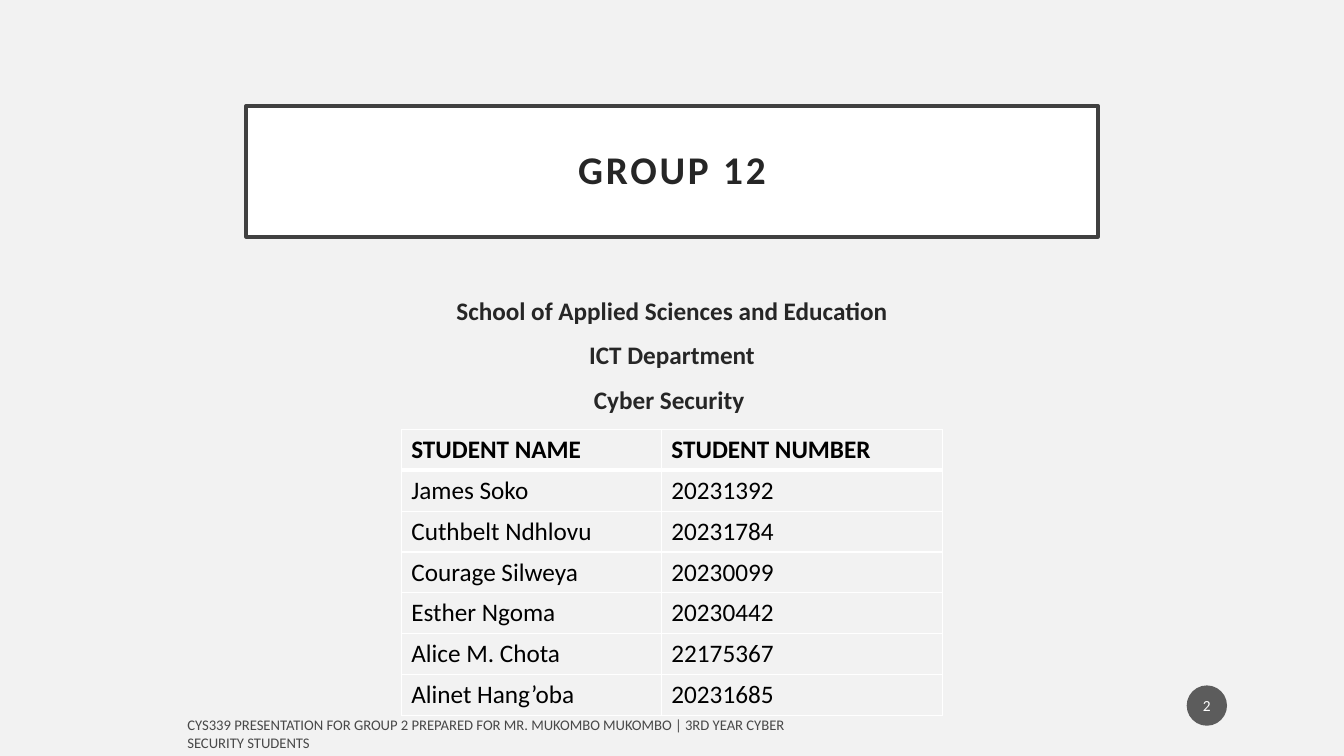
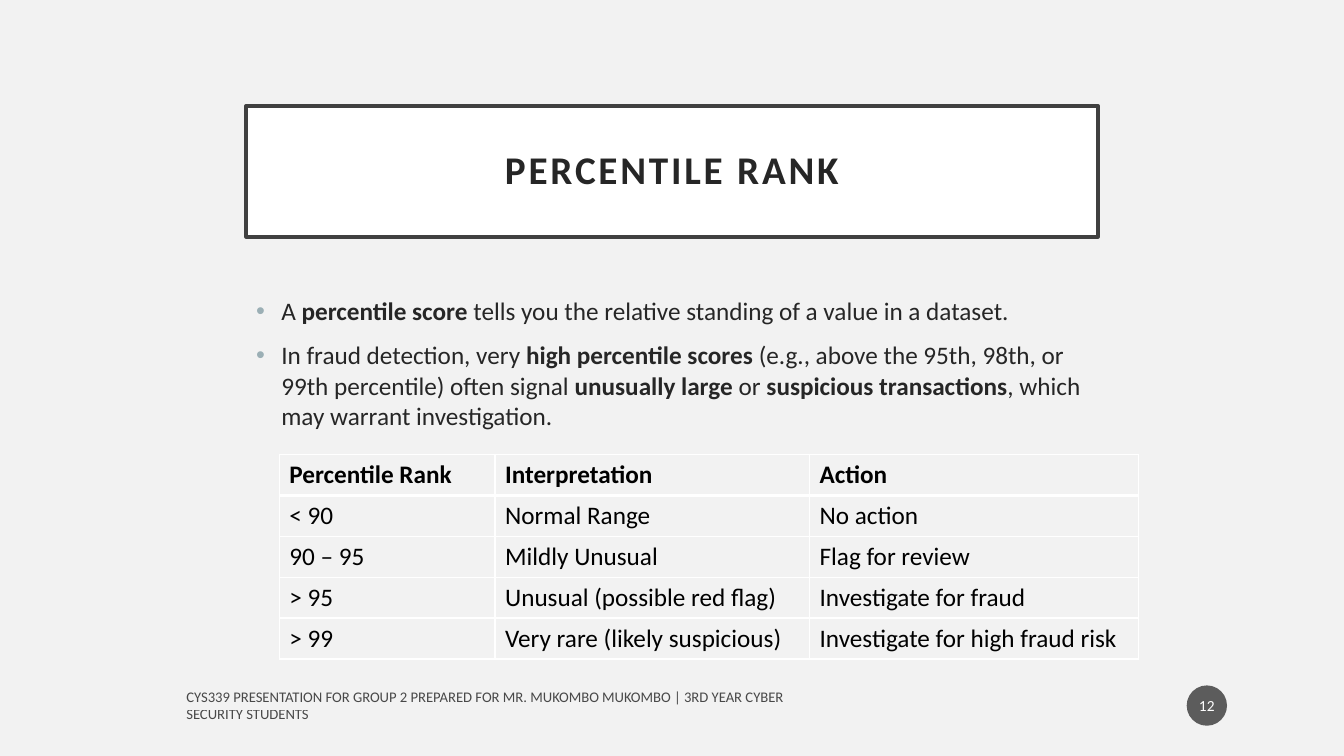
"""Build two slides with a framed title, body text, a ruled table and a footer."""
import lxml.etree
import pptx
import pptx.dml.color
import pptx.enum.shapes
import pptx.enum.text
import pptx.oxml.ns
import pptx.util

Inches, Pt = pptx.util.Inches, pptx.util.Pt
qn = pptx.oxml.ns.qn
ALIGN = pptx.enum.text.PP_ALIGN
MIDDLE = pptx.enum.text.MSO_ANCHOR.MIDDLE

FONT = "Calibri"
PAPER, WHITE, FRAME, INK = "F2F2F2", "FFFFFF", "404040", "262626"
BLACK, BADGE, BULLET = "000000", "1D1D1D", "9BAFB5"
ROW_HEIGHT = 0.405
FOOTER = ("CYS339 PRESENTATION FOR GROUP 2 PREPARED FOR MR. MUKOMBO MUKOMBO"
          " | 3RD YEAR CYBER SECURITY STUDENTS")

SLIDES = [
    {
        "title": "GROUP 12",
        "number": "2",
        "bulleted": False,
        "body": [
            [("School of Applied Sciences and Education", True)],
            [("ICT Department", True)],
            [("Cyber Security ", True)],
        ],
        "table_at": (3.98, 4.26),
        "columns": (2.58, 2.79),
        "rows": [
            ("STUDENT NAME", "STUDENT NUMBER"),
            ("James Soko", "20231392"),
            ("Cuthbelt Ndhlovu", "20231784"),
            ("Courage Silweya", "20230099"),
            ("Esther Ngoma", "20230442"),
            ("Alice M. Chota", "22175367"),
            ("Alinet Hang’oba", "20231685"),
        ],
        "footer_at": (1.76, 7.1),
    },
    {
        "title": "PERCENTILE RANK",
        "number": "12",
        "bulleted": True,
        "body": [
            [("A ", False), ("percentile score ", True),
             ("tells you the relative standing of a value in a dataset.", False)],
            [("In fraud detection, very ", False), ("high percentile scores ", True),
             ("(e.g., above the 95th, 98th, or 99th percentile) often signal ", False),
             ("unusually large ", True), ("or ", False),
             ("suspicious transactions", True),
             (", which may warrant investigation.", False)],
        ],
        "table_at": (2.77, 4.51),
        "columns": (2.14, 3.12, 3.26),
        "rows": [
            ("Percentile Rank", "Interpretation", "Action"),
            ("< 90", "Normal Range", "No action"),
            ("90 – 95", "Mildly Unusual", "Flag for review"),
            ("> 95", "Unusual (possible red flag)", "Investigate for fraud"),
            ("> 99", "Very rare (likely suspicious)", "Investigate for high fraud risk"),
        ],
        "footer_at": (1.75, 6.82),
    },
]


def paint(fill, color, opacity=100):
    fill.solid()
    fill.fore_color.rgb = pptx.dml.color.RGBColor.from_string(color)
    if opacity < 100:
        for srgb in fill._xPr.iter(qn("a:srgbClr")):
            lxml.etree.SubElement(srgb, qn("a:alpha"), val=str(opacity * 1000))


def add_run(paragraph, text, size, color, bold=False, opacity=100):
    run = paragraph.add_run()
    run.text = text
    run.font.name, run.font.size, run.font.bold = FONT, Pt(size), bold
    paint(run.font.fill, color, opacity)
    return run


def place(shape, left, top, width, height):
    shape.left, shape.top = Inches(left), Inches(top)
    shape.width, shape.height = Inches(width), Inches(height)


def set_margins(frame, across, down):
    frame.margin_left = frame.margin_right = Inches(across)
    frame.margin_top = frame.margin_bottom = Inches(down)


def fill_title(title, text):
    place(title, 2.44, 1.05, 8.45, 1.3)
    paint(title.fill, WHITE)
    paint(title.line.fill, FRAME)
    title.line.width = Pt(2.5)
    frame = title.text_frame
    frame.auto_size = pptx.enum.text.MSO_AUTO_SIZE.NONE
    frame.vertical_anchor = MIDDLE
    set_margins(frame, 0.2, 0.2)
    paragraph = frame.paragraphs[0]
    paragraph.alignment = ALIGN.CENTER
    paragraph.line_spacing = 0.9
    run = add_run(paragraph, text, 28, INK, bold=True)
    run.font._element.set("spc", "200")


def set_bullet(paragraph, bulleted):
    properties = paragraph._p.get_or_add_pPr()
    indent = Inches(0.25) if bulleted else 0
    properties.set("marL", str(indent))
    properties.set("indent", str(-indent))
    if bulleted:
        color = lxml.etree.SubElement(properties, qn("a:buClr"))
        lxml.etree.SubElement(color, qn("a:srgbClr"), val=BULLET)
        lxml.etree.SubElement(properties, qn("a:buFont"), typeface="Arial")
        lxml.etree.SubElement(properties, qn("a:buChar"), char="•")
    else:
        lxml.etree.SubElement(properties, qn("a:buNone"))


def fill_body(body, paragraphs, bulleted):
    place(body, 2.44, 2.88, 8.45, 3.39)
    frame = body.text_frame
    frame.auto_size = pptx.enum.text.MSO_AUTO_SIZE.NONE
    for index, runs in enumerate(paragraphs):
        paragraph = frame.add_paragraph() if index else frame.paragraphs[0]
        set_bullet(paragraph, bulleted)
        paragraph.alignment = ALIGN.LEFT if bulleted else ALIGN.CENTER
        paragraph.space_before = Pt(10 if index else 0)
        for text, bold in runs:
            add_run(paragraph, text, 18, INK, bold)


def rule_cell(cell, row):
    widths = {"L": 1, "R": 1, "T": 3 if row == 1 else 1, "B": 3 if row == 0 else 1}
    properties = cell._tc.get_or_add_tcPr()
    for side, width in widths.items():
        edge = lxml.etree.SubElement(properties, qn("a:ln" + side), w=str(Pt(width)))
        solid = lxml.etree.SubElement(edge, qn("a:solidFill"))
        lxml.etree.SubElement(solid, qn("a:srgbClr"), val=WHITE)


def add_ruled_table(slide, rows, columns, left, top):
    table = slide.shapes.add_table(
        len(rows), len(columns), Inches(left), Inches(top),
        Inches(sum(columns)), Inches(ROW_HEIGHT * len(rows))).table
    table.horz_banding = False
    for column, width in zip(table.columns, columns):
        column.width = Inches(width)
    for row, texts in enumerate(rows):
        table.rows[row].height = Inches(ROW_HEIGHT)
        for column, text in enumerate(texts):
            cell = table.cell(row, column)
            rule_cell(cell, row)
            cell.fill.background()
            add_run(cell.text_frame.paragraphs[0], text, 18, BLACK, bold=row == 0)


def add_footer(slide, left, top, number):
    footer = slide.shapes.add_textbox(
        Inches(left), Inches(top), Inches(6.45), Inches(0.35)).text_frame
    footer.word_wrap = True
    footer.vertical_anchor = MIDDLE
    add_run(footer.paragraphs[0], FOOTER, 10.5, BLACK, opacity=70)

    badge = slide.shapes.add_shape(
        pptx.enum.shapes.MSO_SHAPE.OVAL,
        Inches(11.77), Inches(6.8), Inches(0.4), Inches(0.4))
    badge.shadow.inherit = False
    paint(badge.fill, BADGE, opacity=70)
    badge.line.fill.background()
    frame = badge.text_frame
    frame.word_wrap = False
    frame.vertical_anchor = MIDDLE
    set_margins(frame, 0.02, 0.05)
    frame.paragraphs[0].alignment = ALIGN.CENTER
    add_run(frame.paragraphs[0], number, 11, WHITE)


def main():
    deck = pptx.Presentation()
    deck.slide_width, deck.slide_height = Inches(13.33), Inches(7.5)
    paint(deck.slide_master.background.fill, PAPER)
    for content in SLIDES:
        slide = deck.slides.add_slide(deck.slide_layouts[1])
        fill_title(slide.shapes.title, content["title"])
        fill_body(slide.placeholders[1], content["body"], content["bulleted"])
        add_ruled_table(slide, content["rows"], content["columns"], *content["table_at"])
        add_footer(slide, *content["footer_at"], content["number"])
    deck.save("out.pptx")


if __name__ == "__main__":
    main()
